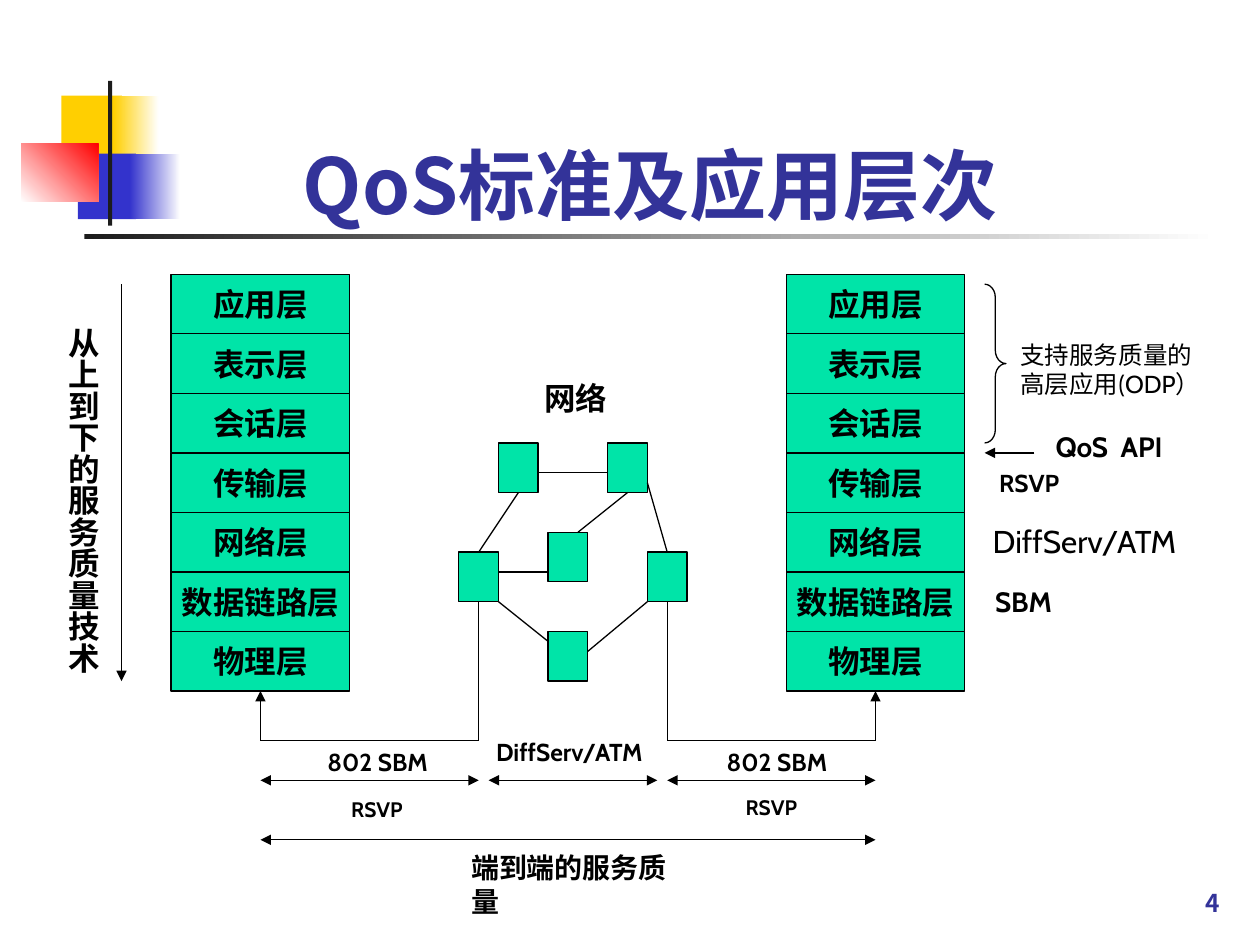
from dataclasses import dataclass

from lxml import etree
from pptx import Presentation
from pptx import util as u
from pptx.dml.color import RGBColor as Rgb
from pptx.enum import shapes, text
from pptx.oxml import ns


@dataclass(frozen=True)
class Theme:
    ink: Rgb = Rgb(0x00, 0x00, 0x00)
    dark: Rgb = Rgb(0x1C, 0x1C, 0x1C)
    white: Rgb = Rgb(0xFF, 0xFF, 0xFF)
    gold: Rgb = Rgb(0xFF, 0xCF, 0x01)
    blue: Rgb = Rgb(0x33, 0x33, 0xCC)
    red: Rgb = Rgb(0xFF, 0x00, 0x00)
    navy: Rgb = Rgb(0x33, 0x33, 0x99)
    green: Rgb = Rgb(0x00, 0xE4, 0xA8)
    latin: str = "Cabin"
    asian: str = "Noto Sans CJK JP"
    head: int = 44
    large: int = 18
    mid: int = 16
    small: int = 14
    tiny: int = 12
    line: float = 0.75


T = Theme()
LEFT, MID, RIGHT = text.PP_ALIGN.LEFT, text.PP_ALIGN.CENTER, text.PP_ALIGN.RIGHT

deck = Presentation()
deck.slide_width, deck.slide_height = u.Cm(25.4), u.Cm(19.05)
page = deck.slides.add_slide(deck.slide_layouts[6])
items = page.shapes


def write(shape, words, size, bold=True, align=LEFT, color=T.ink, face=T.latin, **frame):
    """Fill the text frame, one paragraph per line of words."""
    box = shape.text_frame
    for key, val in ({"word_wrap": False} | frame).items():
        setattr(box, key, val)
    box.text = words
    for para in box.paragraphs:
        para.alignment = align
        font = para.runs[0].font
        for key, val in {"size": u.Pt(size), "bold": bold, "name": face}.items():
            setattr(font, key, val)
        font.color.rgb = color
        props = para.runs[0].font._element
        etree.SubElement(props, ns.qn("a:ea"), typeface=T.asian)


def link(x1, y1, x2, y2, *ends):
    """Draw a line with a triangle at each named end (headEnd, tailEnd)."""
    wire = items.add_connector(shapes.MSO_CONNECTOR.STRAIGHT,
                               u.Cm(x1), u.Cm(y1), u.Cm(x2), u.Cm(y2))
    wire.line.color.rgb = T.ink
    wire.line.width = u.Pt(T.line)
    props = wire.element.spPr
    for end in ends:
        etree.SubElement(props.find(ns.qn("a:ln")), ns.qn("a:" + end), type="triangle")
    etree.SubElement(props, ns.qn("a:effectLst"))


# Corner ornament and title rule: box, start colour, end colour, angle
for box, start, end, angle in [
    ((1.24, 1.93, 1.22, 1.32), T.gold, None, 0),
    ((2.29, 1.93, 0.91, 1.32), T.gold, T.white, 0),
    ((1.57, 3.1, 1.17, 1.32), T.blue, None, 0),
    ((2.62, 3.1, 1.02, 1.32), T.blue, T.white, 0),
    ((0.43, 2.9, 1.55, 1.17), T.white, T.red, 45),
    ((2.18, 1.63, 0.08, 2.92), T.dark, None, 0),
    ((1.7, 4.72, 22.86, 0.09), T.dark, T.white, 0),
]:
    block = items.add_shape(shapes.MSO_SHAPE.RECTANGLE, *map(u.Cm, box))
    block.shadow.inherit = False
    block.line.fill.background()
    if end is None:
        block.fill.solid()
        block.fill.fore_color.rgb = start
    else:
        block.fill.gradient()
        block.fill.gradient_angle = angle
        for stop, color, spot in zip(block.fill.gradient_stops, (start, end), (0, 1)):
            stop.color.rgb = color
            stop.position = spot

# Title and page number
for words, box, size, align in [
    ("QoS标准及应用层次", (2.29, 0.71, 21.64, 4.06), T.head, MID),
    ("4", (19.56, 17.35, 5.28, 1.27), T.small, RIGHT),
]:
    write(items.add_textbox(*map(u.Cm, box)), words, size, align=align, color=T.navy,
          face=T.asian, word_wrap=True, vertical_anchor=text.MSO_ANCHOR.BOTTOM)

# Two protocol stacks, then the network nodes
LAYERS = ["应用层", "表示层", "会话层", "传输层", "网络层", "数据链路层", "物理层"]
STACKS = [3.45, 15.85]
TOP, WIDE, HIGH = 5.53, 3.6, 1.2
NODES = [(9.25, 11.13), (10.05, 8.93), (11.05, 10.73),
         (12.25, 8.93), (13.05, 11.13), (11.05, 12.73)]
cells = [(x, TOP + row * HIGH, WIDE, HIGH, name)
         for x in STACKS for row, name in enumerate(LAYERS)]
cells += [(x, y, 0.8, 1, "") for x, y in NODES]
for *box, name in cells:
    cell = items.add_shape(shapes.MSO_SHAPE.RECTANGLE, *map(u.Cm, box))
    cell.shadow.inherit = False
    cell.fill.solid()
    cell.fill.fore_color.rgb = T.green
    cell.line.color.rgb = T.ink
    cell.line.width = u.Pt(T.line)
    if name:
        write(cell, name, T.large, align=MID, vertical_anchor=text.MSO_ANCHOR.MIDDLE)

# Links between nodes
for ends in [
    (10.45, 9.93, 9.65, 11.13), (12.65, 9.93, 11.65, 10.73),
    (10.05, 12.13, 11.05, 12.93), (13.05, 12.13, 11.85, 13.13),
    (13.05, 9.73, 13.45, 11.13), (10.85, 9.53, 12.25, 9.53),
    (11.05, 11.53, 10.05, 11.53),
]:
    link(*ends)

# Routes from the edge nodes to the foot of each stack
BASE, FOOT = 14.93, TOP + len(LAYERS) * HIGH
for host, edge in zip([x + WIDE / 2 for x in STACKS], (9.65, 13.45)):
    link(edge, 12.13, edge, BASE)
    link(edge, BASE, host, BASE)
    link(host, BASE, host, FOOT, "tailEnd")

# Span arrows below, then the pointers at the sides
for x1, x2, y in [(5.25, 9.65, 15.73), (9.85, 13.25, 15.73),
                  (13.45, 17.65, 15.73), (5.25, 17.65, 16.93)]:
    link(x1, y, x2, y, "headEnd", "tailEnd")
link(20.85, 9.13, 19.85, 9.13, "tailEnd")
link(2.45, 5.73, 2.45, 13.73, "tailEnd")

brace = items.add_shape(shapes.MSO_SHAPE.RIGHT_BRACE,
                        u.Cm(19.85), u.Cm(5.73), u.Cm(0.43), u.Cm(3.2))
brace.shadow.inherit = False
brace.adjustments[0] = 0.62
brace.fill.background()
brace.line.color.rgb = T.ink
brace.line.width = u.Pt(T.line)

# Labels: words, box, size, bold
FIT = text.MSO_AUTO_SIZE.SHAPE_TO_FIT_TEXT
for words, box, size, bold in [
    ("支持服务质量的\n高层应用(ODP）", (20.32, 6.73, 4.42, 1.45), T.small, False),
    ("QoS  API", (21.03, 8.53, 2.87, 0.94), T.mid, True),
    ("RSVP", (19.89, 9.32, 1.73, 0.86), T.small, True),
    ("DiffServ/ATM", (19.76, 10.39, 4.42, 1.02), T.large, False),
    ("SBM", (19.81, 11.66, 1.73, 0.94), T.mid, True),
    ("802 SBM", (6.35, 14.93, 2.57, 0.86), T.small, True),
    ("802 SBM", (14.4, 14.93, 2.57, 0.86), T.small, True),
    ("RSVP", (6.83, 15.93, 1.55, 0.76), T.tiny, True),
    ("RSVP", (14.78, 15.9, 1.55, 0.76), T.tiny, True),
    ("DiffServ/ATM", (9.75, 14.73, 3.78, 1.45), T.small, True),
    ("端到端的服务质量", (9.25, 17.02, 5, 0.94), T.mid, True),
    ("网络", (10.72, 7.52, 1.78, 1.02), T.large, True),
]:
    write(items.add_textbox(*map(u.Cm, box)), words, size, bold, auto_size=FIT)

side = items.add_textbox(u.Cm(0.91), u.Cm(6.35), u.Cm(1.27), u.Cm(7.24))
write(side, "从上到下的服务质量技术", T.large, auto_size=FIT,
      margin_left=u.Cm(0.13), margin_right=u.Cm(0.13),
      margin_top=u.Cm(0.25), margin_bottom=u.Cm(0.25))
side.text_frame._txBody.bodyPr.set("vert", "eaVert")

deck.save("out.pptx")
